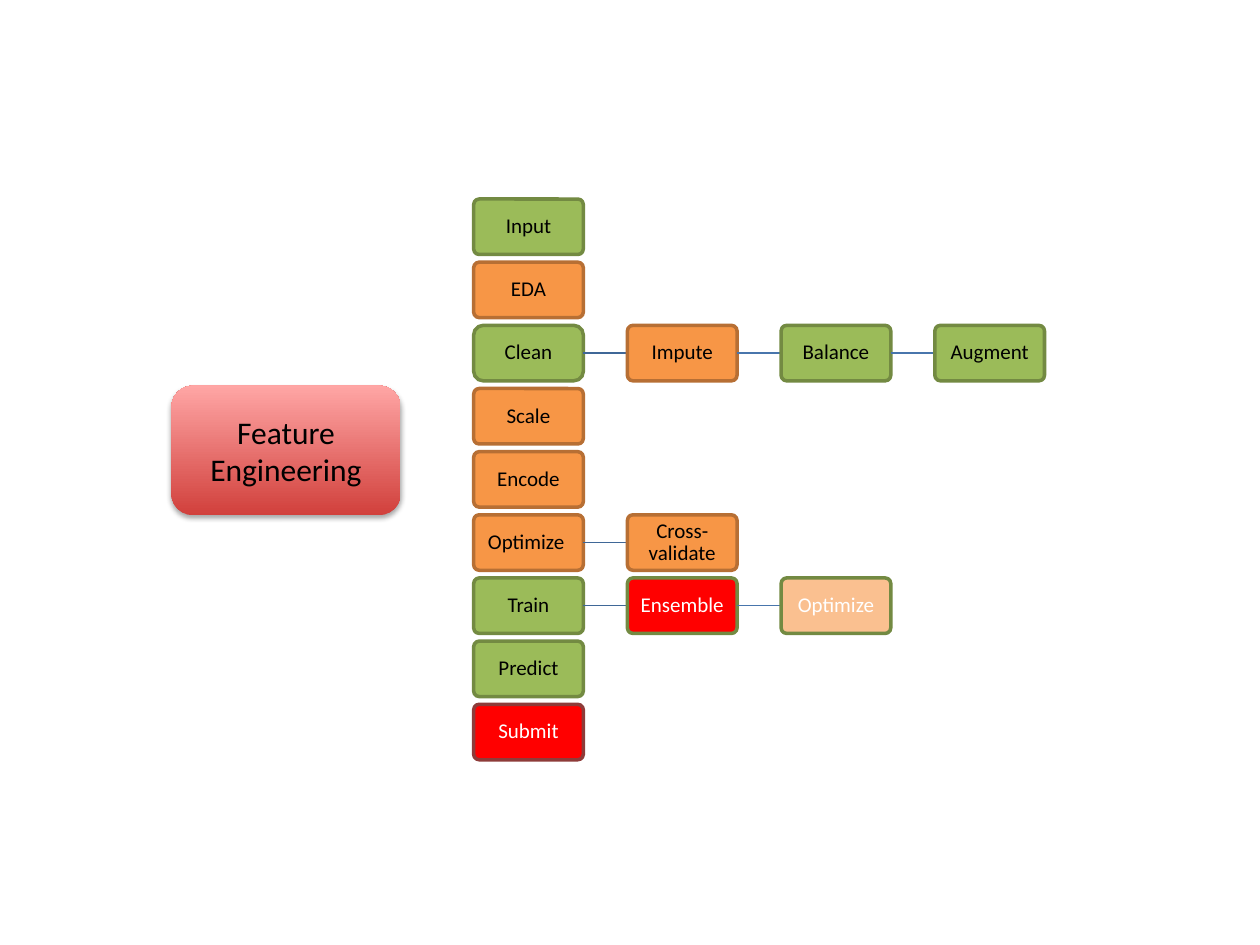
from lxml.etree import SubElement
from pptx import Presentation
from pptx.dml.color import RGBColor
from pptx.enum.shapes import MSO_CONNECTOR, MSO_SHAPE
from pptx.enum.text import MSO_ANCHOR, PP_ALIGN
from pptx.oxml.ns import qn
from pptx.util import Inches, Pt

TOPIC = "Feature Engineering"
STAGES = [
    [("Input", "done")],
    [("EDA", "partial")],
    [("Clean", "done"), ("Impute", "partial"), ("Balance", "done"), ("Augment", "done")],
    [("Scale", "partial")],
    [("Encode", "partial")],
    [("Optimize ", "partial"), ("Cross-validate", "partial")],
    [("Train", "done"), ("Ensemble", "urgent"), ("Optimize", "faded")],
    [("Predict", "done")],
    [("Submit", "final")],
]
THEME = {
    "font": "Calibri",
    "topic_size": 18,
    "step_size": 12,
    "topic_text": "000000",
    "topic_gradient": ("D1403C", "FFA6A5"),
    "shadow": "000000",
    "first_link": "3F6797",
    "later_link": "4875AC",
    "steps": {
        "done": ("9BBB59", "738A42", "000000"),
        "partial": ("F79646", "B76F34", "000000"),
        "urgent": ("FF0000", "738A42", "FFFFFF"),
        "faded": ("FAC090", "738A42", "FFFFFF"),
        "final": ("FF0000", "8E3B39", "FFFFFF"),
    },
}
LEFT, FIRST_TOP, LAST_TOP = 3.76, 1.58, 5.59
STEP_WIDTH, STEP_HEIGHT, LINK_WIDTH = 0.87, 0.44, 0.35
ROW_PITCH = (LAST_TOP - FIRST_TOP) / (len(STAGES) - 1)
COLUMN_PITCH = STEP_WIDTH + LINK_WIDTH
SIDES = ("margin_left", "margin_top", "margin_right", "margin_bottom")
STEP_FRAME = dict.fromkeys(SIDES, Inches(0.02))


def apply(target, formats):
    for name, setting in formats.items():
        setattr(target, name, setting)


def add_box(shapes, label, place, size, color, frame_formats, spacing):
    box = shapes.add_shape(MSO_SHAPE.ROUNDED_RECTANGLE, *map(Inches, place))
    box.shadow.inherit = False
    frame = box.text_frame
    frame.text = label
    apply(frame, {"word_wrap": True, "vertical_anchor": MSO_ANCHOR.MIDDLE, **frame_formats})
    paragraph = frame.paragraphs[0]
    apply(paragraph, {"alignment": PP_ALIGN.CENTER, "line_spacing": spacing})
    font = paragraph.runs[0].font
    apply(font, {"name": THEME["font"], "size": Pt(size)})
    font.color.rgb = RGBColor.from_string(color)
    return box


def add_step(shapes, label, status, left, top):
    fill, border, text = THEME["steps"][status]
    step = add_box(shapes, label, (left, top, STEP_WIDTH, STEP_HEIGHT),
                   THEME["step_size"], text, STEP_FRAME, 0.9)
    step.adjustments[0] = 0.17 if label == "Clean" else 0.1
    step.fill.solid()
    step.fill.fore_color.rgb = RGBColor.from_string(fill)
    step.line.color.rgb = RGBColor.from_string(border)
    step.line.width = Pt(2)


def add_link(shapes, left, middle, color):
    ends = (left, middle, left + LINK_WIDTH, middle)
    link = shapes.add_connector(MSO_CONNECTOR.STRAIGHT, *map(Inches, ends))
    link.line.color.rgb = RGBColor.from_string(color)
    link.line.width = Pt(0.75)
    SubElement(link._element.spPr, qn("a:effectLst"))


def add_topic(shapes):
    topic = add_box(shapes, TOPIC, (1.36, 3.06, 1.82, 1.03),
                    THEME["topic_size"], THEME["topic_text"], {}, 1.0)
    topic.line.fill.background()
    topic.fill.gradient()
    topic.fill.gradient_angle = 90
    for stop, color in zip(topic.fill.gradient_stops, THEME["topic_gradient"]):
        stop.color.rgb = RGBColor.from_string(color)
    effects = topic._element.spPr.find(qn("a:effectLst"))
    shadow = SubElement(effects, qn("a:outerShdw"), blurRad=str(Pt(3.1)),
                        dist=str(Pt(1.8)), dir="5400000", rotWithShape="0")
    shade = SubElement(shadow, qn("a:srgbClr"), val=THEME["shadow"])
    SubElement(shade, qn("a:alpha"), val="35000")


presentation = Presentation()
apply(presentation, {"slide_width": Inches(10), "slide_height": Inches(7.5)})
slide = presentation.slides.add_slide(presentation.slide_layouts[6])
pipeline = slide.shapes.add_group_shape().shapes
for row, stage in enumerate(STAGES):
    top = FIRST_TOP + row * ROW_PITCH
    for column, (label, status) in enumerate(stage):
        left = LEFT + column * COLUMN_PITCH
        if column:
            color = THEME["first_link" if column == 1 else "later_link"]
            add_link(pipeline, left - LINK_WIDTH, top + STEP_HEIGHT / 2, color)
        add_step(pipeline, label, status, left, top)
add_topic(slide.shapes)
presentation.save("out.pptx")
